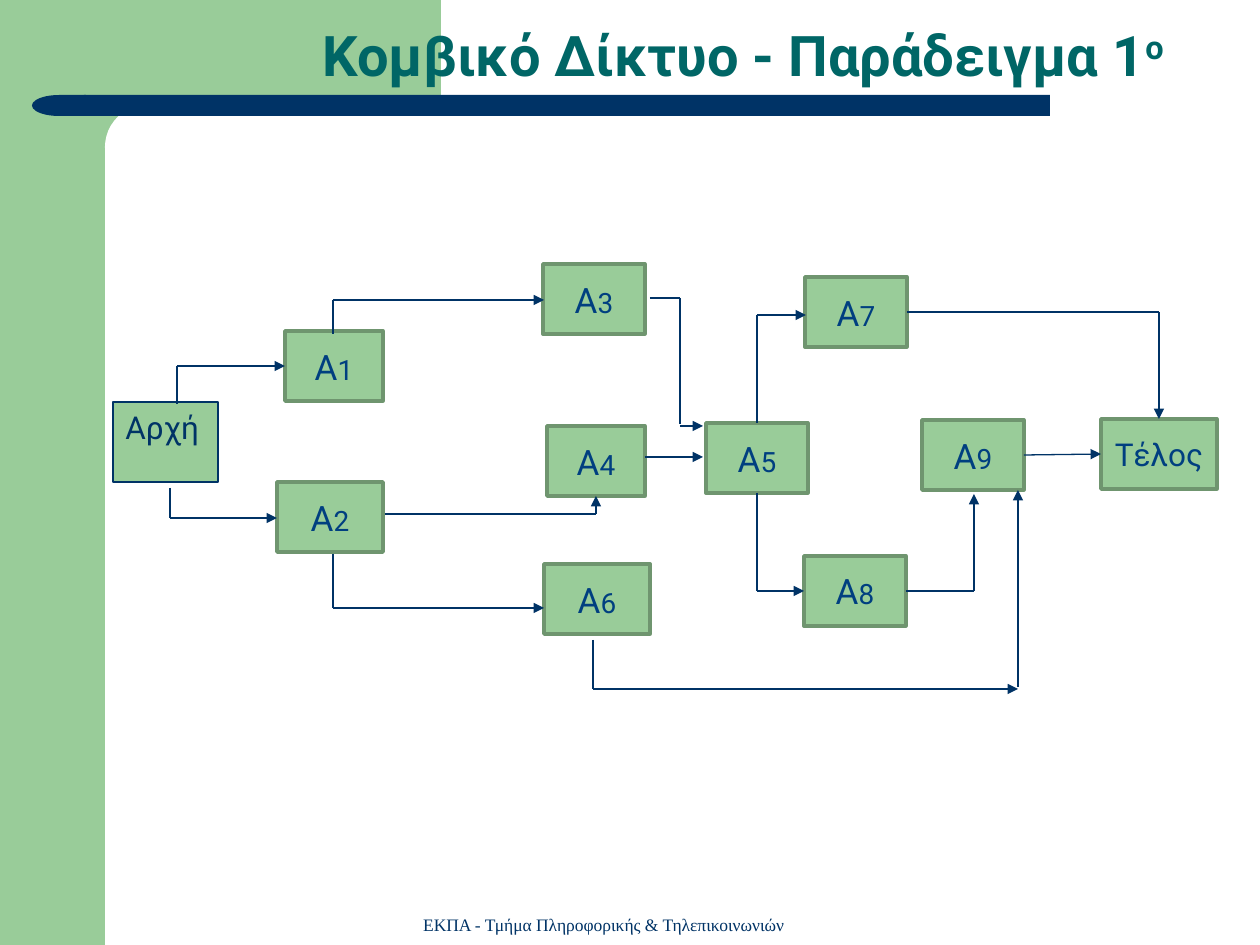
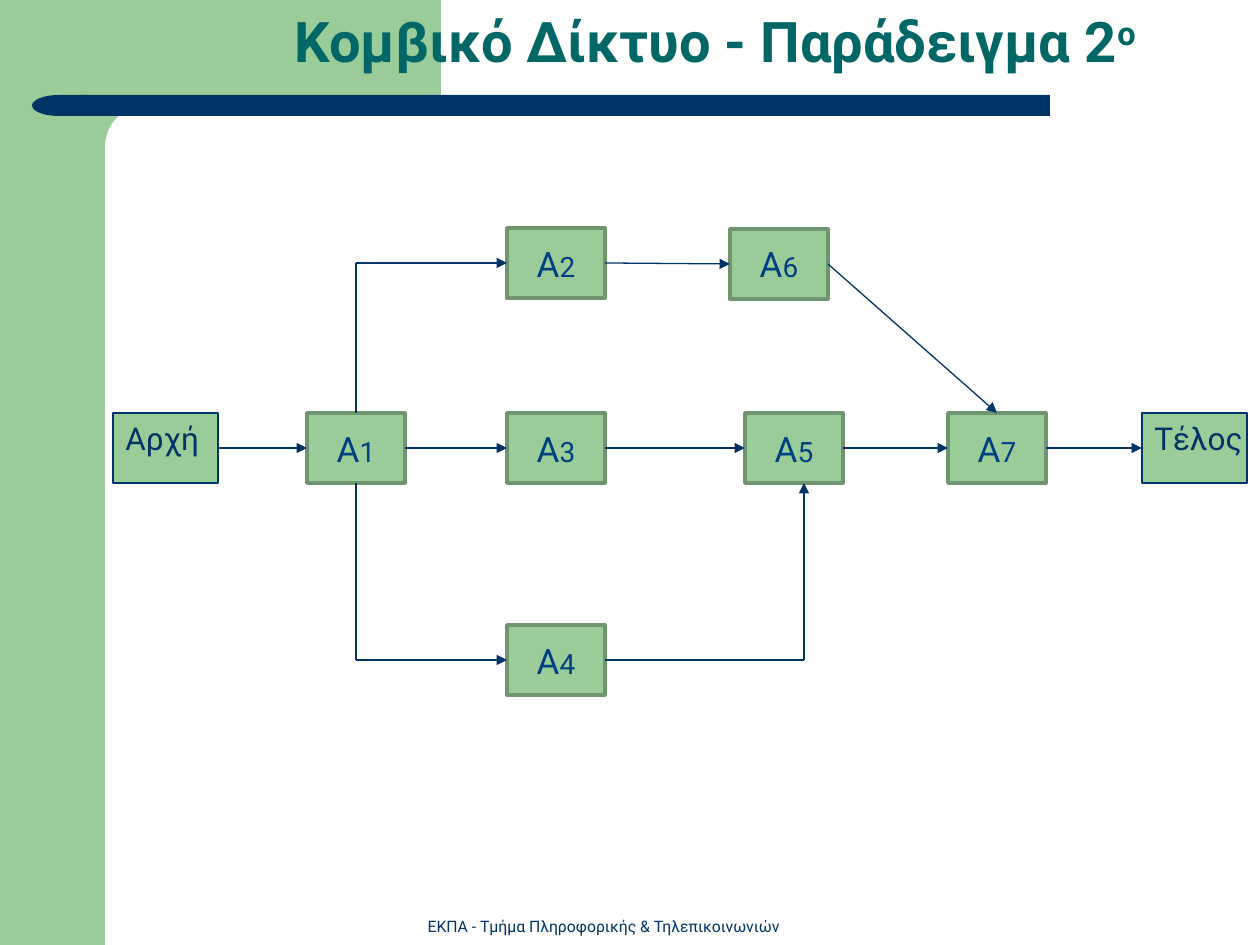
from lxml import etree
from pptx import Presentation
from pptx.dml.color import RGBColor
from pptx.enum.shapes import MSO_CONNECTOR, MSO_SHAPE
from pptx.enum.text import MSO_ANCHOR, PP_ALIGN
from pptx.oxml.ns import qn
from pptx.util import Emu, Pt

PX = 914400 / 126
TOP, LEFT, BOTTOM, RIGHT = range(4)
STRAIGHT = MSO_CONNECTOR.STRAIGHT
RECT, ROUND, DELAY = (MSO_SHAPE.RECTANGLE, MSO_SHAPE.ROUNDED_RECTANGLE,
                      MSO_SHAPE.FLOWCHART_DELAY)
ANCHOR_TOP, ANCHOR_MIDDLE, ANCHOR_BOTTOM = MSO_ANCHOR.TOP, MSO_ANCHOR.MIDDLE, MSO_ANCHOR.BOTTOM
ALIGN_LEFT, ALIGN_CENTER, ALIGN_RIGHT = PP_ALIGN.LEFT, PP_ALIGN.CENTER, PP_ALIGN.RIGHT

COLORS = {"green": "99CC99", "white": "FFFFFF", "navy": "003366",
          "teal": "006666", "border": "6F956F", "label": "003F80"}
FONT = "Roboto"
NODE_HEIGHT = 70
FOOTER = "ΕΚΠΑ - Τμήμα Πληροφορικής & Τηλεπικοινωνιών"

# Shared background: shape, area, colour
BANDS = [
    (RECT, (0, 0, 105, 945), "green"),
    (RECT, (95, 0, 346, 147), "green"),
    (ROUND, (105, 105, 703, 84), "white"),
    (RECT, (84, 95, 966, 21), "navy"),
    (DELAY, (32, 95, 54, 21), "navy"),
]

# Node styles: border, border width, label colour, anchor, alignment, wrap
STYLES = {
    "activity": ("border", 2, "label", ANCHOR_MIDDLE, ALIGN_CENTER, True),
    "terminal": ("navy", 0.75, "navy", ANCHOR_TOP, ALIGN_LEFT, False),
}

# Nodes: left, top, width. Routes: points, or (node, side) where joined.
SLIDES = [
    {
        "title": ("Κομβικό Δίκτυο - Παράδειγμα 1", "ο"),
        "title_area": (42, 0, 1134, 95),
        "title_style": (ANCHOR_BOTTOM, ALIGN_RIGHT, 0.9),
        "footer": ((404, 907, 399, 34), "Times New Roman", 10),
        "terminals": {"Αρχή": (113, 402, 105, 80)},
        "activities": {
            "Α1": (285, 331, 98), "Α2": (277, 482, 106), "Α3": (543, 264, 102),
            "Α4": (547, 426, 98), "Α5": (706, 423, 102), "Α6": (544, 564, 106),
            "Α7": (805, 277, 102), "Α8": (804, 556, 102), "Α9": (922, 420, 102),
            "Τέλος": (1101, 419, 116),
        },
        "arrows": [
            [(177, 404), (177, 366), ("Α1", LEFT)],
            [(170, 488), (170, 518), (277, 518)],
            [(333, 334), (333, 300), (544, 300)],
            [(385, 514), (596, 514), ("Α4", BOTTOM)],
            [(333, 554), (333, 608), (544, 608)],
            [(645, 457), (703, 457)],
            [(680, 426), (703, 426)],
            [(593, 640), (593, 689), (1018, 689)],
            [(1018, 687), (1018, 490)],
            [("Α5", TOP), (757, 315), (806, 315)],
            [("Α5", BOTTOM), (757, 591), ("Α8", LEFT)],
            [("Α8", RIGHT), (974, 591), (974, 494)],
            [("Α9", RIGHT), ("Τέλος", LEFT)],
            [("Α7", RIGHT), (1159, 312), ("Τέλος", TOP)],
        ],
        "plain_lines": [[(650, 298), (680, 298), (680, 424)]],
    },
    {
        "title": ("Κομβικό Δίκτυο - Παράδειγμα 2", "ο"),
        "title_area": (282, 0, 963, 80),
        "title_style": (ANCHOR_TOP, ALIGN_LEFT, 1),
        "footer": ((404, 910, 399, 32), FONT, 9),
        "terminals": {"Αρχή": (113, 413, 105), "Τέλος": (1142, 413, 105)},
        "activities": {
            "Α1": (307, 413, 98), "Α2": (507, 228, 98), "Α3": (507, 413, 98),
            "Α4": (507, 625, 98), "Α5": (745, 413, 98), "Α6": (730, 229, 98),
            "Α7": (948, 413, 98),
        },
        "arrows": [
            [("Αρχή", RIGHT), ("Α1", LEFT)],
            [("Α1", TOP), (356, 263), ("Α2", LEFT)],
            [("Α1", RIGHT), ("Α3", LEFT)],
            [("Α1", BOTTOM), (356, 660), ("Α4", LEFT)],
            [("Α2", RIGHT), ("Α6", LEFT)],
            [("Α3", RIGHT), ("Α5", LEFT)],
            [("Α4", RIGHT), (804, 660), (804, 483)],
            [("Α5", RIGHT), ("Α7", LEFT)],
            [("Α6", RIGHT), ("Α7", TOP)],
            [("Α7", RIGHT), ("Τέλος", LEFT)],
        ],
        "plain_lines": [],
    },
]


def px(value):
    return Emu(round(value * PX))


def color(name):
    return RGBColor.from_string(COLORS[name])


def add_span(para, text, size, ink, font=FONT, bold=False):
    span = para.add_run()
    span.text = text
    span.font.name, span.font.size, span.font.bold = font, Pt(size), bold
    span.font.color.rgb = color(ink)
    return span


def add_text_box(page, area, anchor, align):
    frame = page.shapes.add_textbox(*map(px, area)).text_frame
    frame.word_wrap = True
    frame.vertical_anchor = anchor
    para = frame.paragraphs[0]
    para.alignment = align
    return para


def add_box(page, kind, area, fill):
    box = page.shapes.add_shape(kind, *map(px, area))
    box.shadow.inherit = False
    box.fill.solid()
    box.fill.fore_color.rgb = color(fill)
    box.line.fill.background()
    return box


def add_background(page):
    for kind, area, fill in BANDS:
        band = add_box(page, kind, area, fill)
        if kind == ROUND:
            band.adjustments[0] = 0.5
        if kind == DELAY:
            band._element.spPr.xfrm.set("flipH", "1")


def add_title(page, content):
    anchor, align, spacing = content["title_style"]
    para = add_text_box(page, content["title_area"], anchor, align)
    para.line_spacing = spacing
    text, ordinal = content["title"]
    add_span(para, text, 32, "teal", bold=True)
    raised = add_span(para, ordinal, 32, "teal", bold=True)
    raised.font._element.set("baseline", "30000")


def add_footer(page, area, font, size):
    para = add_text_box(page, area, ANCHOR_BOTTOM, ALIGN_CENTER)
    add_span(para, FOOTER, size, "navy", font)


def add_node(page, name, style, left, top, width, height=NODE_HEIGHT):
    border, weight, ink, anchor, align, wrap = STYLES[style]
    box = add_box(page, RECT, (left, top, width, height), "green")
    box.line.color.rgb = color(border)
    box.line.width = Pt(weight)
    frame = box.text_frame
    frame.word_wrap = wrap
    frame.vertical_anchor = anchor
    para = frame.paragraphs[0]
    para.alignment = align
    if name[-1].isdigit():
        add_span(para, name[0], 20, ink)
        add_span(para, name[1:], 16, ink)
    else:
        add_span(para, name, 18, ink)
    return box


def add_route(page, nodes, points, arrow):
    def joined(point):
        return isinstance(point[0], str)

    last = len(points) - 2
    for index, (start, end) in enumerate(zip(points, points[1:])):
        begin_at = (0, 0) if joined(start) else start
        end_at = (0, 0) if joined(end) else end
        line = page.shapes.add_connector(STRAIGHT, *map(px, (*begin_at, *end_at)))
        if joined(start):
            line.begin_connect(nodes[start[0]], start[1])
        if joined(end):
            line.end_connect(nodes[end[0]], end[1])
        line.line.color.rgb = color("navy")
        line.line.width = Pt(0.75)
        if arrow and index == last:
            etree.SubElement(line.line._get_or_add_ln(), qn("a:tailEnd"), type="triangle")
        etree.SubElement(line._element.spPr, qn("a:effectLst"))


def add_network(page, content):
    nodes = {}
    for style, group in (("terminal", "terminals"), ("activity", "activities")):
        for name, area in content[group].items():
            nodes[name] = add_node(page, name, style, *area)
    for points in content["plain_lines"]:
        add_route(page, nodes, points, arrow=False)
    for points in content["arrows"]:
        add_route(page, nodes, points, arrow=True)


def main():
    deck = Presentation()
    deck.slide_width, deck.slide_height = px(1260), px(945)
    for content in SLIDES:
        page = deck.slides.add_slide(deck.slide_layouts[6])
        add_background(page)
        add_title(page, content)
        add_footer(page, *content["footer"])
        add_network(page, content)
    deck.save("out.pptx")


if __name__ == "__main__":
    main()
